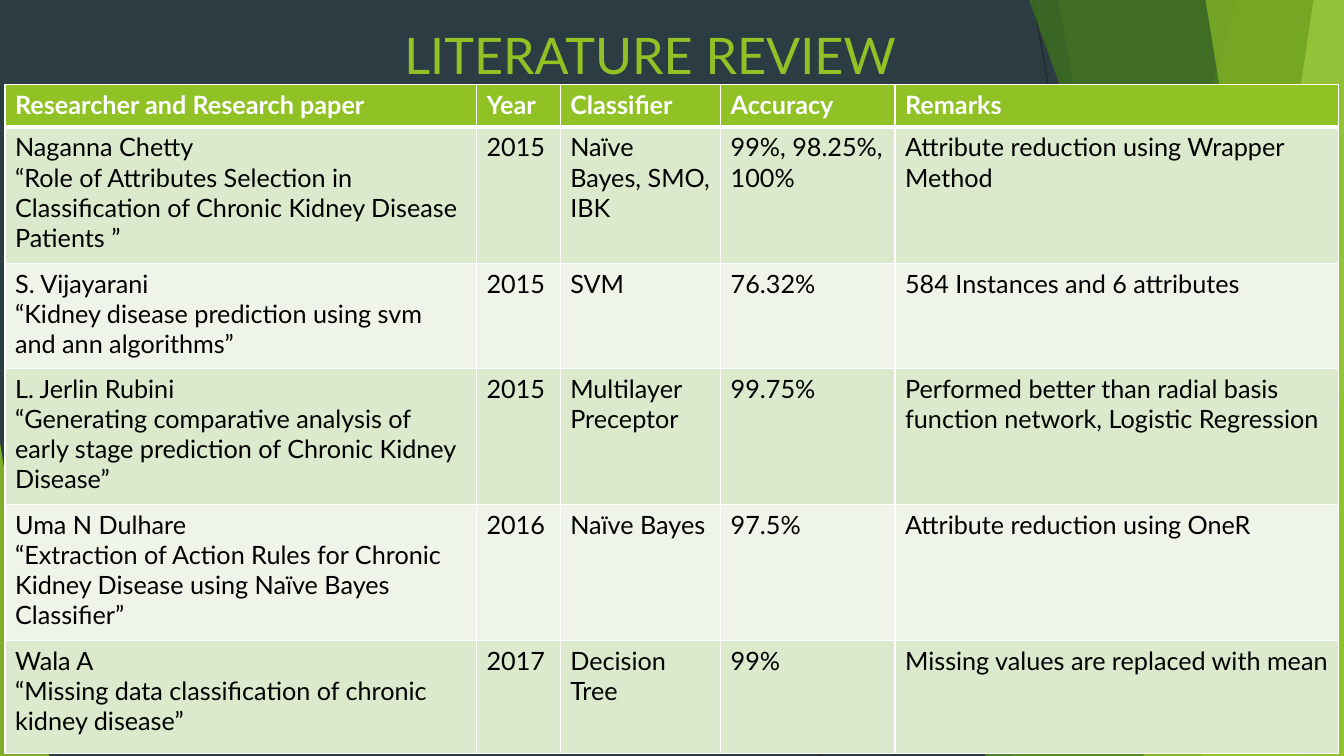
"""Build the literature review slide."""
from dataclasses import dataclass
from typing import Any

from lxml import etree
from pptx import Presentation
from pptx import util as u
from pptx.dml.color import RGBColor
from pptx.enum import shapes, text
from pptx.oxml import ns

Pt = u.Pt
WIDTH, HEIGHT = 960, 540


@dataclass(frozen=True)
class Theme:
    """Colours, font and type sizes."""
    font: str = "Lato"
    title_size: float = 36
    table_size: float = 18
    background: str = "2C3C43"
    green: str = "90C226"
    mid_green: str = "54A021"
    dark_green: str = "3F7819"
    light_green: str = "C0E474"
    hairline: str = "262626"
    white: str = "FFFFFF"
    black: str = "000000"
    row_fills: tuple[str, str] = ("DBE9CD", "EEF4E8")


@dataclass(frozen=True)
class Band:
    """A facet reaching from a slanted left edge to the right slide edge."""
    top_x: float
    bottom_x: float
    color: str
    opacity: int


@dataclass(frozen=True)
class Triangle:
    """A right triangle standing on the bottom slide edge."""
    left: float
    top: float
    width: float
    apex: float
    color: str
    opacity: int


@dataclass(frozen=True)
class Study:
    """One reviewed paper, a table row."""
    paper: str
    year: str
    classifier: str
    accuracy: str
    remarks: str
    height: float

    def cells(self) -> tuple[str, ...]:
        """Return the texts in column order."""
        return self.paper, self.year, self.classifier, self.accuracy, self.remarks


THEME = Theme()
HAIRLINES = [(738, 0, 833.8, HEIGHT), (WIDTH, 290.2, 584.6, HEIGHT)]
FACETS = [
    Band(884.2, 722.9, THEME.green, 30),
    Band(756, 851.8, THEME.green, 20),
    Triangle(703.4, 239.8, 256.6, 1, THEME.mid_green, 72),
    Band(735.1, 929.5, THEME.dark_green, 70),
    Band(938.2, 858.2, THEME.light_green, 70),
    Band(861.1, 949, THEME.green, 65),
    Triangle(816.5, 283, 143.5, 1, THEME.green, 80),
    Triangle(0, 316.1, 35.3, 0, THEME.green, 85),
]
COLUMN_WIDTHS = [336.8, 59.8, 114.6, 124.6, 316.7]
STUDIES = [
    Study("Researcher and Research paper", "Year", "Classifier", "Accuracy", "Remarks", 30.3),
    Study("Naganna Chetty\n“Role of Attributes Selection in Classification of "
          "Chronic Kidney Disease Patients ”", "2015", "Naïve Bayes, SMO, IBK",
          "99%, 98.25%, 100%", "Attribute reduction using Wrapper Method", 97.3),
    Study("S. Vijayarani\n“Kidney disease prediction using svm and ann algorithms”",
          "2015", "SVM", "76.32%", "584 Instances and 6 attributes", 75),
    Study("L. Jerlin Rubini\n“Generating comparative analysis of early stage "
          "prediction of Chronic Kidney Disease”", "2015", "Multilayer Preceptor",
          "99.75%", "Performed better than radial basis function network, "
          "Logistic Regression", 97.3),
    Study("Uma N Dulhare\n“Extraction of Action Rules for Chronic Kidney Disease "
          "using Naïve Bayes Classifier”", "2016", "Naïve Bayes", "97.5%",
          "Attribute reduction using OneR", 97.3),
    Study("Wala A\n“Missing data classification of chronic kidney disease”",
          "2017", "Decision Tree", "99%", "Missing values are replaced with mean", 80.7),
]


def rgb(color: str) -> RGBColor:
    """Turn a hex string into a colour."""
    return RGBColor.from_string(color)


def write_text(frame: Any, content: str, *, size: float, color: str,
               bold: bool = False, align: Any = text.PP_ALIGN.LEFT) -> None:
    """Write one paragraph per line of content, formatted alike."""
    frame.text = content
    for paragraph in frame.paragraphs:
        paragraph.alignment = align
        for run in paragraph.runs:
            run.font.name, run.font.size = THEME.font, Pt(size)
            run.font.bold = bold
            run.font.color.rgb = rgb(color)


def draw_hairline(slide: Any, ends: tuple[float, ...]) -> None:
    """Draw a thin dark line without shadow."""
    line = slide.shapes.add_connector(shapes.MSO_CONNECTOR.STRAIGHT, *map(Pt, ends))
    line.line.color.rgb = rgb(THEME.hairline)
    line.line.width = Pt(0.75)
    etree.SubElement(line.element.spPr, ns.qn("a:effectLst"))


def draw_facet(slide: Any, facet: Band | Triangle) -> None:
    """Draw a translucent background facet."""
    if isinstance(facet, Band):
        builder = slide.shapes.build_freeform(Pt(facet.top_x), 0)
        corners = [(WIDTH, 0), (WIDTH, HEIGHT), (facet.bottom_x, HEIGHT)]
        builder.add_line_segments([(Pt(x), Pt(y)) for x, y in corners])
        shape = builder.convert_to_shape()
    else:
        shape = slide.shapes.add_shape(
            shapes.MSO_SHAPE.ISOSCELES_TRIANGLE, Pt(facet.left), Pt(facet.top),
            Pt(facet.width), Pt(HEIGHT - facet.top))
        shape.adjustments[0] = facet.apex
    shape.shadow.inherit = False
    shape.line.fill.background()
    shape.fill.solid()
    shape.fill.fore_color.rgb = rgb(facet.color)
    color = shape.element.spPr.find(".//" + ns.qn("a:srgbClr"))
    etree.SubElement(color, ns.qn("a:alpha"), val=str(facet.opacity * 1000))


def set_borders(cell: Any, top: float, bottom: float) -> None:
    """Give a cell white borders, one point wide at the sides."""
    properties = cell._tc.get_or_add_tcPr()
    for index, (side, width) in enumerate(zip("LRTB", (1, 1, top, bottom))):
        border = etree.Element(ns.qn(f"a:ln{side}"), w=str(Pt(width)))
        fill = etree.SubElement(border, ns.qn("a:solidFill"))
        etree.SubElement(fill, ns.qn("a:srgbClr"), val=THEME.white)
        properties.insert(index, border)


def draw_table(slide: Any) -> None:
    """Draw the table of reviewed papers."""
    table = slide.shapes.add_table(
        len(STUDIES), len(COLUMN_WIDTHS), Pt(3.6), Pt(60.4), Pt(sum(COLUMN_WIDTHS)),
        Pt(sum(study.height for study in STUDIES))).table
    for column, width in zip(table.columns, COLUMN_WIDTHS):
        column.width = Pt(width)
    for number, study in enumerate(STUDIES):
        header = number == 0
        table.rows[number].height = Pt(study.height)
        for cell, content in zip(table.rows[number].cells, study.cells()):
            cell.fill.solid()
            cell.fill.fore_color.rgb = rgb(
                THEME.green if header else THEME.row_fills[(number - 1) % 2])
            set_borders(cell, top=3 if number == 1 else 1, bottom=3 if header else 1)
            write_text(cell.text_frame, content, size=THEME.table_size, bold=header,
                       color=THEME.white if header else THEME.black)


def place_title(slide: Any) -> None:
    """Format the title placeholder and bring it in front of the facets."""
    title = slide.shapes.title
    title.left, title.top, title.width, title.height = map(Pt, (126, 12.2, 676.8, 52.6))
    title.text_frame.auto_size = text.MSO_AUTO_SIZE.NONE
    title.text_frame.vertical_anchor = text.MSO_ANCHOR.MIDDLE
    write_text(title.text_frame, "LITERATURE REVIEW", size=THEME.title_size,
               color=THEME.green, align=text.PP_ALIGN.CENTER)
    title.element.getparent().append(title.element)


def main() -> None:
    """Build and save the presentation."""
    presentation = Presentation()
    presentation.slide_width, presentation.slide_height = Pt(WIDTH), Pt(HEIGHT)
    slide = presentation.slides.add_slide(presentation.slide_layouts.get_by_name("Title Only"))
    slide.background.fill.solid()
    slide.background.fill.fore_color.rgb = rgb(THEME.background)
    for ends in HAIRLINES:
        draw_hairline(slide, ends)
    for facet in FACETS:
        draw_facet(slide, facet)
    place_title(slide)
    draw_table(slide)
    presentation.save("out.pptx")


main()
